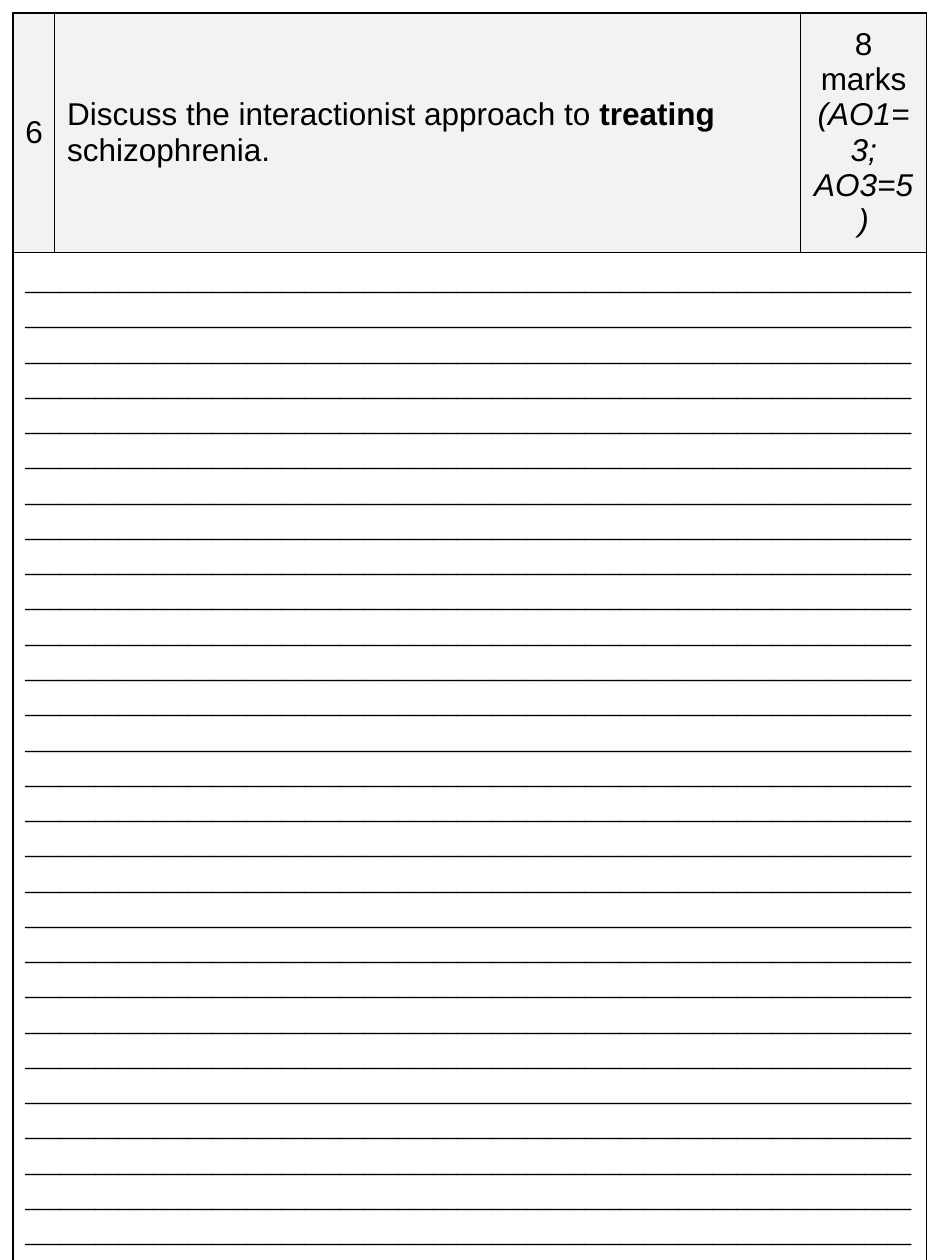
from dataclasses import dataclass

from lxml.etree import SubElement
from pptx import Presentation
from pptx.dml.color import RGBColor as RGB
from pptx.enum.text import MSO_ANCHOR as ANCHOR, PP_ALIGN as ALIGN
from pptx.oxml.ns import qn
from pptx.util import Cm, Pt


@dataclass(frozen=True)
class Theme:
    font: str = "Arial"
    ink: str = "000000"
    shade: str = "F2F2F2"
    question_size: int = 18
    line_size: int = 12
    border: int = 1


theme = Theme()
LINE_COUNT = 28
LINE_LENGTH = 76


def add_run(p, text, size, bold=False, italic=False):
    r = p.add_run()
    r.text = text
    r.font.name = theme.font
    r.font.size = Pt(size)
    r.font.bold = bold
    r.font.italic = italic
    r.font.color.rgb = RGB.from_string(theme.ink)


def add_borders(cell):
    tc_pr = cell._tc.get_or_add_tcPr()
    for side in ("a:lnL", "a:lnR", "a:lnT", "a:lnB"):
        ln = SubElement(tc_pr, qn(side), w=str(Pt(theme.border)))
        fill = SubElement(ln, qn("a:solidFill"))
        SubElement(fill, qn("a:srgbClr"), val=theme.ink)


# Page
prs = Presentation()
prs.slide_width, prs.slide_height = Cm(19.05), Cm(25.4)
s = prs.slides.add_slide(prs.slide_layouts[6])

# Table grid: question row above a merged answer row
table = s.shapes.add_table(2, 3, Cm(0.26), Cm(0.26), Cm(18.42), Cm(24.74)).table
table.first_row = table.horz_banding = False
for column, width in zip(table.columns, (0.84, 15.04, 2.54)):
    column.width = Cm(width)
for row, height in zip(table.rows, (2.01, 22.73)):
    row.height = Cm(height)
for cell in table.iter_cells():
    add_borders(cell)
answer = table.cell(1, 0)
answer.merge(table.cell(1, 2))
answer.fill.background()

# Question row: number, question, marks
question_row = [
    (ALIGN.CENTER, [("6", {})]),
    (ALIGN.LEFT, [("Discuss the interactionist approach to ", {}),
                  ("treating", {"bold": True}),
                  (" schizophrenia.", {})]),
    (ALIGN.CENTER, [("8 marks ", {}), ("(AO1=3; AO3=5)", {"italic": True})]),
]
for col, (align, runs) in enumerate(question_row):
    cell = table.cell(0, col)
    cell.vertical_anchor = ANCHOR.MIDDLE
    cell.margin_top = cell.margin_bottom = Cm(0.28)
    cell.fill.solid()
    cell.fill.fore_color.rgb = RGB.from_string(theme.shade)
    p = cell.text_frame.paragraphs[0]
    p.alignment = align
    for text, style in runs:
        add_run(p, text, theme.question_size, **style)

# Ruled answer lines
tf = answer.text_frame
for i in range(LINE_COUNT):
    p = tf.add_paragraph() if i else tf.paragraphs[0]
    p.line_spacing = 1.5
    add_run(p, "_" * LINE_LENGTH, theme.line_size)

prs.save("out.pptx")
